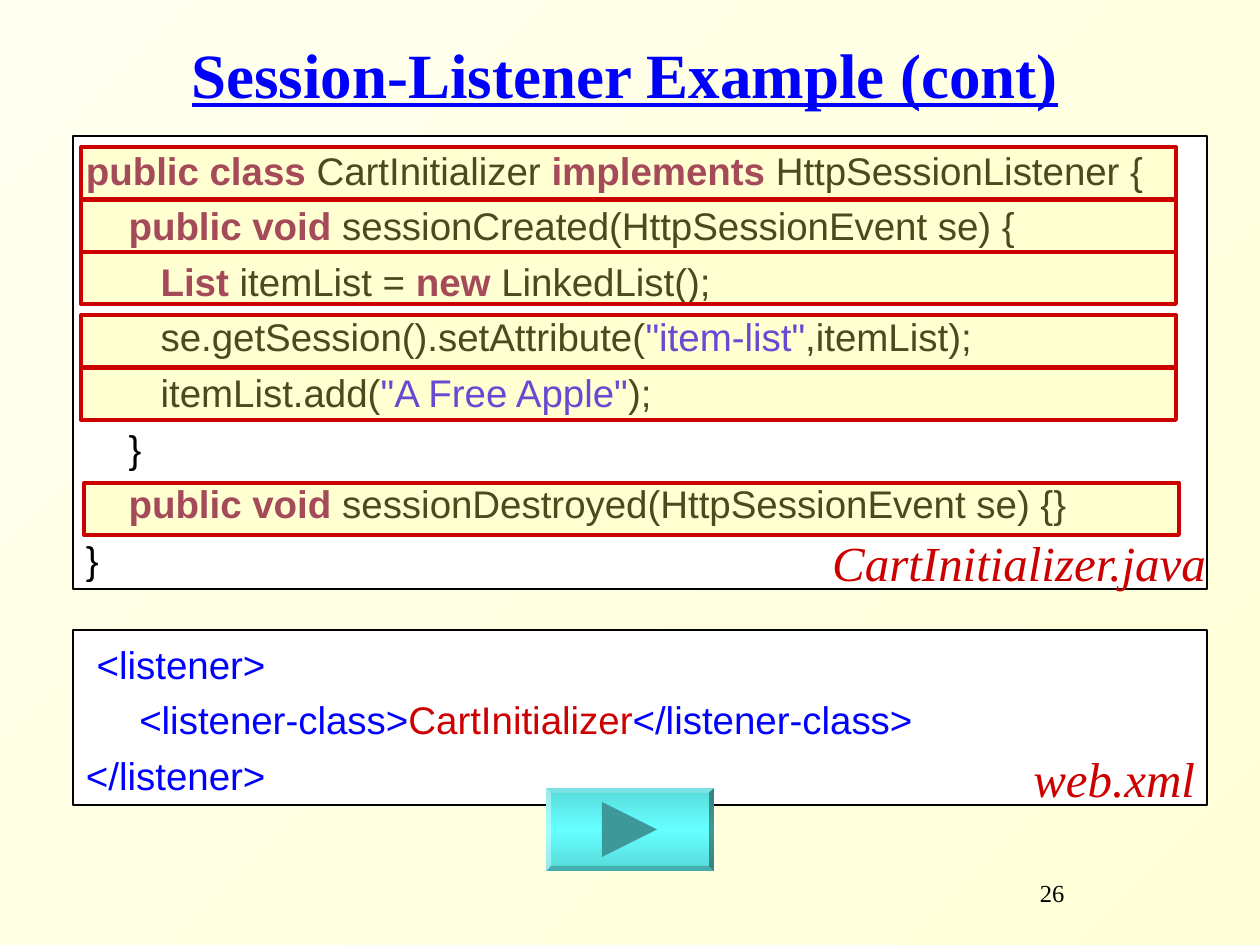
from copy import deepcopy
from lxml import etree
from pptx import Presentation
from pptx.dml.color import RGBColor
from pptx.enum.shapes import MSO_SHAPE
from pptx.enum.text import MSO_ANCHOR, PP_ALIGN
from pptx.oxml.ns import qn
from pptx.util import Pt

RECT, BEVEL = MSO_SHAPE.RECTANGLE, MSO_SHAPE.BEVEL
TRIANGLE = MSO_SHAPE.ISOSCELES_TRIANGLE
TOP, MIDDLE = MSO_ANCHOR.TOP, MSO_ANCHOR.MIDDLE
LEFT, CENTER, RIGHT = PP_ALIGN.LEFT, PP_ALIGN.CENTER, PP_ALIGN.RIGHT

PX = 914400 // 126
HEX = {
    "black": "000000", "white": "FFFFFF", "blue": "0000FF", "red": "CC0000",
    "keyword": "7F0055", "string": "2A00FF", "highlight": "FFFF66",
    "bg_dark": "FFFFD7", "bg_light": "FFFFEF",
    "teal": "57DADA", "aqua": "66FFFF", "arrow": "3D9999",
}
C = {name: RGBColor.from_string(value) for name, value in HEX.items()}

prs = Presentation()
prs.slide_width, prs.slide_height = 1260 * PX, 945 * PX
s = prs.slides.add_slide(prs.slide_layouts[6])


def add_box(kind, x, y, w, h, fill=None, line=None, width=0.75):
    sp = s.shapes.add_shape(kind, x * PX, y * PX, w * PX, h * PX)
    sp.shadow.inherit = False
    if fill:
        sp.fill.solid()
        sp.fill.fore_color.rgb = C[fill]
    if line:
        sp.line.color.rgb = C[line]
        sp.line.width = Pt(width)
    else:
        sp.line.fill.background()
    return sp


def write(sp, lines, size, font, align=LEFT, spacing=1.0, left=13, anchor=TOP):
    """Fill a shape with lines, each a list of (text, colour) runs."""
    tf = sp.text_frame
    tf.word_wrap = True
    tf.vertical_anchor = anchor
    tf.margin_left, tf.margin_right = left * PX, 13 * PX
    tf.margin_top = tf.margin_bottom = 6 * PX
    for i, runs in enumerate(lines):
        p = tf.paragraphs[0] if i == 0 else tf.add_paragraph()
        p.alignment, p.line_spacing = align, spacing
        if i:
            p.space_before = Pt(2.75)
        p.font.size, p.font.name = Pt(size), font
        for text, color in runs:
            r = p.add_run()
            r.text = text
            r.font.color.rgb = C[color]
            if color == "keyword":
                r.font.bold = True
    return tf.paragraphs[0]


# Background
bg = s.background.fill
bg.gradient()
bg.gradient_angle = 135
for stop, name, pos in zip(bg.gradient_stops, ("bg_dark", "bg_light"), (0, 1)):
    stop.color.rgb, stop.position = C[name], pos

# Title
sp = s.shapes.add_textbox(126 * PX, 21 * PX, 998 * PX, 116 * PX)
p = write(sp, [[("Session-Listener Example (cont)", "blue")]], 36,
          "Times New Roman", CENTER, 0.85, anchor=MIDDLE)
p.font.bold = p.font.underline = True

# Code panels
java = [
    [("public class", "keyword"), (" CartInitializer ", "black"),
     ("implements", "keyword"), (" HttpSessionListener {", "black")],
    [("    public void", "keyword"), (" sessionCreated(HttpSessionEvent se) {", "black")],
    [("       List", "keyword"), (" itemList = ", "black"),
     ("new", "keyword"), (" LinkedList();", "black")],
    [("       se.getSession().setAttribute(", "black"),
     ('"item-list"', "string"), (",itemList);", "black")],
    [("       itemList.add(", "black"), ('"A Free Apple"', "string"), (");", "black")],
    [("    }", "black")],
    [("    public void", "keyword"), (" sessionDestroyed(HttpSessionEvent se) {}", "black")],
    [("}", "black")],
]
xml = [
    [(" <listener>", "blue")],
    [("     <listener-class>", "blue"), ("CartInitializer", "red"),
     ("</listener-class>", "blue")],
    [("</listener>", "blue")],
]
for y, h, lines in ((136, 453, java), (630, 175, xml)):
    sp = add_box(RECT, 73, y, 1134, h, "white", "black")
    write(sp, lines, 22, "Arial", spacing=1.1)

# Highlighted code lines
for x, y in ((81, 147), (81, 200), (81, 252), (81, 315), (81, 368), (84, 483)):
    sp = add_box(RECT, x, y, 1095, 52, "highlight", "red", 2.25)
    color = sp.fill._xPr.find(qn("a:solidFill"))[0]
    etree.SubElement(color, qn("a:alpha"), val="29000")

# File names
for x, y, name in ((683, 509, "CartInitializer.java"), (672, 725, "web.xml")):
    sp = s.shapes.add_textbox(x * PX, y * PX, 536 * PX, 90 * PX)
    p = write(sp, [[(name, "red")]], 28, "Times New Roman", RIGHT, 1.3)
    p.font.italic = True

# Forward button
sp = add_box(BEVEL, 546, 788, 168, 83)
sp.adjustments[0] = 0.06
sp.fill.gradient()
sp.fill.gradient_angle = 270
stops = sp.fill._xPr.find(qn("a:gradFill")).find(qn("a:gsLst"))
stops.insert(1, deepcopy(stops[0]))
for stop, name, pos in zip(sp.fill.gradient_stops, ("teal", "aqua", "teal"), (0, 0.5, 1)):
    stop.color.rgb, stop.position = C[name], pos
sp = add_box(TRIANGLE, 602, 802, 55, 55, "arrow")
sp.rotation = 90

# Slide number
sp = s.shapes.add_textbox(998 * PX, 872 * PX, 262 * PX, 63 * PX)
write(sp, [[("26", "black")]], 14, "Times New Roman", left=42)

prs.save("out.pptx")
